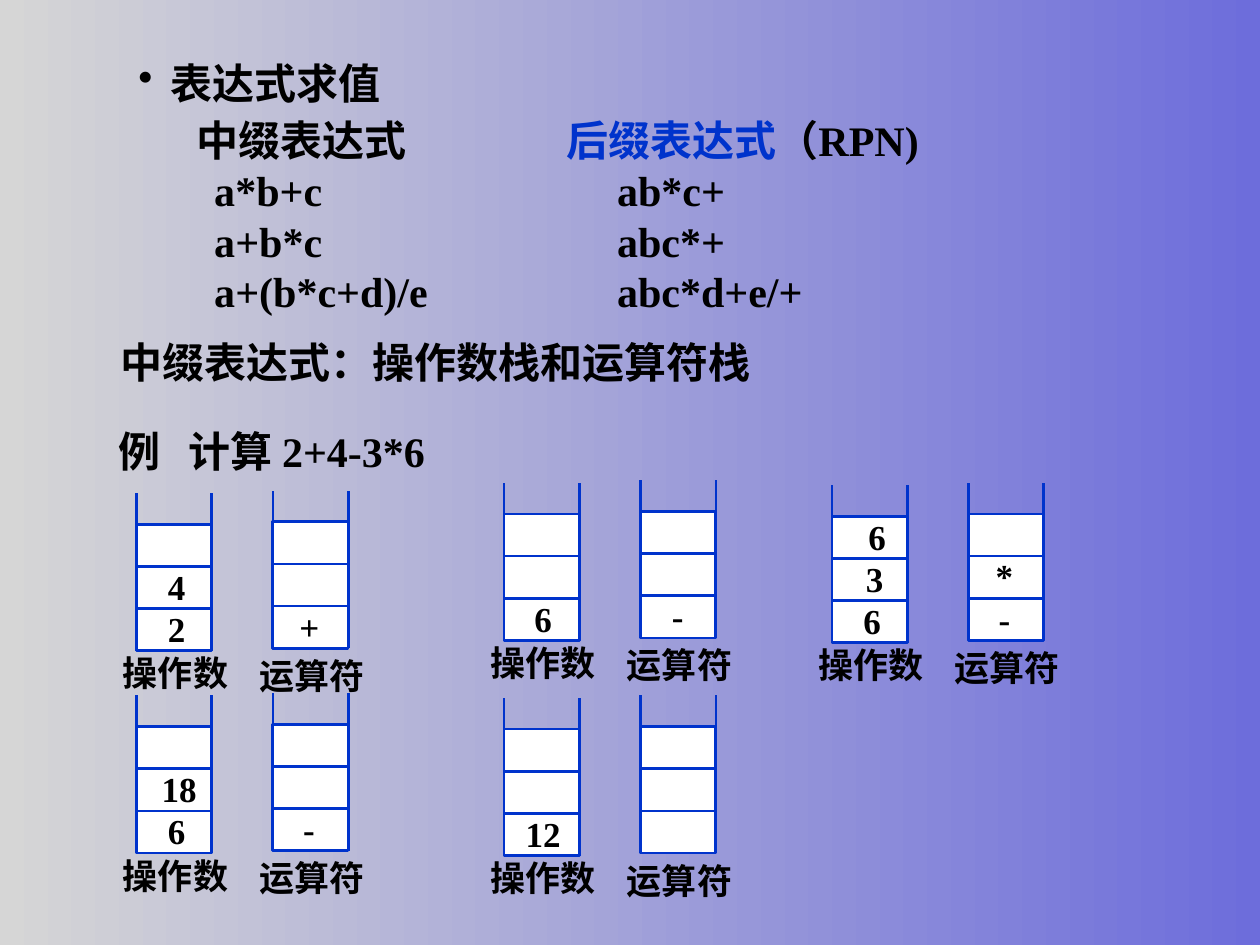
"""Build a slide on evaluating expressions with operand and operator stacks."""
from dataclasses import dataclass
from typing import NamedTuple

from lxml import etree
from pptx import Presentation
from pptx import util as u
from pptx.dml.color import RGBColor
from pptx.enum import shapes, text
from pptx.oxml.ns import qn


@dataclass(frozen=True)
class Theme:
    font: str = "Times New Roman"
    ink: str = "000000"
    blue: str = "0033CC"
    cell: str = "FFFFFF"
    bg_from: str = "6D6DDB"
    bg_to: str = "D6D6D6"
    body: int = 24
    small: int = 20
    line: float = 1.5


class Box(NamedTuple):
    left: float
    top: float
    width: float
    height: float


class Span(NamedTuple):
    text: str
    color: str = Theme.ink


class Line(NamedTuple):
    spans: tuple[Span, ...]
    tabs: tuple[float, ...] = ()


class Entry(NamedTuple):
    text: str
    left: float


class Step(NamedTuple):
    left: float
    bottom: float
    operands: tuple[Entry, ...]
    operators: tuple[Entry, ...] = ()


T = Theme()
CELL_W, CELL_H, CELLS, WALL_H = 1.52, 0.85, 3, 3.18
STACK_GAP, STACK_RISE = 2.75, 0.05
NARROW, WIDE = {"-": 0.74}, {"+": 0.91}
HEAD_TABS, ROW_TABS = (2.15, 9.6), (2.5, 10.62)

EXPRESSIONS = (
    Line((Span("\t中缀表达式\t"), Span("后缀表达式", T.blue), Span("（RPN)")), HEAD_TABS),
    *(Line((Span(f"\t{infix}\t{postfix}"),), ROW_TABS) for infix, postfix in (
        ("a*b+c", "ab*c+"), ("a+b*c", "abc*+"), ("a+(b*c+d)/e", "abc*d+e/+"))),
)

STEPS = (
    Step(2.75, 13.12, (Entry("2", 0.38), Entry("4", 0.38)), (Entry("+", 0.28),)),
    Step(10.16, 12.91, (Entry("6", 0.36),), (Entry("-", 0.38),)),
    Step(16.77, 12.96, (Entry("6", 0.38), Entry("3", 0.43), Entry("6", 0.48)),
         (Entry("-", 0.36), Entry("*", 0.3))),
    Step(2.75, 17.2, (Entry("6", 0.38), Entry("18", 0.25)), (Entry("-", 0.36),)),
    Step(10.16, 17.25, (Entry("12", 0.18),)),
)


def rgb(color: str) -> RGBColor:
    return RGBColor.from_string(color)


def plain(content: str) -> tuple[Line, ...]:
    return (Line((Span(content),)),)


def add_text(parent, box: Box, lines: tuple[Line, ...], *, size: int = T.body,
             center: bool = False, wrap: bool = False, bullet: bool = False) -> None:
    sp = parent.add_textbox(*map(u.Cm, box))
    tf = sp.text_frame
    tf.word_wrap = wrap
    if not bullet:
        tf.auto_size = text.MSO_AUTO_SIZE.SHAPE_TO_FIT_TEXT
        tf.vertical_anchor = text.MSO_ANCHOR.MIDDLE
    for i, line in enumerate(lines):
        p = tf.add_paragraph() if i else tf.paragraphs[0]
        p.alignment = text.PP_ALIGN.CENTER if center else text.PP_ALIGN.LEFT
        pPr = p._p.get_or_add_pPr()
        if bullet:
            p.level = 2
            pPr.set("marL", str(u.Cm(3.18)))
            pPr.set("indent", str(u.Cm(-0.64)))
            clr = etree.SubElement(pPr, qn("a:buClr"))
            etree.SubElement(clr, qn("a:srgbClr"), val=T.ink)
            etree.SubElement(pPr, qn("a:buChar"), char="•")
        if line.tabs:
            tab_list = etree.SubElement(pPr, qn("a:tabLst"))
            for pos in line.tabs:
                etree.SubElement(tab_list, qn("a:tab"), pos=str(u.Cm(pos)), algn="l")
        for span in line.spans:
            r = p.add_run()
            r.text = span.text
            r.font.name, r.font.size, r.font.bold = T.font, u.Pt(size), True
            r.font.color.rgb = rgb(span.color)


def add_wall(parent, x: float, bottom: float) -> None:
    ln = parent.add_connector(shapes.MSO_CONNECTOR.STRAIGHT, u.Cm(x), u.Cm(bottom),
                              u.Cm(x), u.Cm(bottom - WALL_H))
    ln.line.color.rgb = rgb(T.blue)
    ln.line.width = u.Pt(T.line)
    etree.SubElement(ln._element.spPr, qn("a:effectLst"))


def add_cell(parent, box: Box) -> None:
    sp = parent.add_shape(shapes.MSO_SHAPE.RECTANGLE, *map(u.Cm, box))
    sp.shadow.inherit = False
    sp.fill.solid()
    sp.fill.fore_color.rgb = rgb(T.cell)
    sp.line.color.rgb = rgb(T.blue)
    sp.line.width = u.Pt(T.line)


def add_stack(parent, left: float, bottom: float, label: str, label_top: float,
              entries: tuple[Entry, ...]) -> None:
    for x in (left, left + CELL_W):
        add_wall(parent, x, bottom)
    for i in range(CELLS):
        add_cell(parent, Box(left, bottom - CELL_H * (i + 1), CELL_W, CELL_H))
    add_text(parent, Box(left - 0.52, label_top, 2.62, 1.12), plain(label),
             size=T.small, center=True)
    for i, entry in enumerate(entries):
        width = (NARROW | WIDE).get(entry.text, 0.5 + 0.36 * len(entry.text))
        box = Box(left + entry.left, bottom - 1.01 - CELL_H * i, width, 1.12)
        add_text(parent, box, plain(entry.text), size=T.small, center=True)


def add_step(s, step: Step) -> None:
    parent = s.shapes.add_group_shape().shapes
    add_stack(parent, step.left, step.bottom, "操作数", step.bottom - 0.12, step.operands)
    add_stack(parent, step.left + STACK_GAP, step.bottom - STACK_RISE, "运算符",
              step.bottom - 0.07, step.operators)


def main() -> None:
    prs = Presentation()
    prs.slide_width, prs.slide_height = u.Cm(25.4), u.Cm(19.05)
    s = prs.slides.add_slide(prs.slide_layouts[6])
    fill = s.background.fill
    fill.gradient()
    fill.gradient_angle = 180
    for stop, color in zip(fill.gradient_stops, (T.bg_from, T.bg_to)):
        stop.color.rgb = rgb(color)
    add_text(s.shapes, Box(0, 1.04, 24.71, 1.52), plain("表达式求值"), wrap=True, bullet=True)
    add_text(s.shapes, Box(1.57, 2.18, 17.8, 4.32), EXPRESSIONS, wrap=True)
    add_text(s.shapes, Box(2.18, 6.65, 13.21, 1.27), plain("中缀表达式：操作数栈和运算符栈"),
             center=True)
    add_text(s.shapes, Box(2.13, 8.46, 7.1, 1.27),
             (Line((Span("例\t计算 2+4-3*6"),), (1.42,)),), wrap=True)
    for step in STEPS:
        add_step(s, step)
    prs.save("out.pptx")


if __name__ == "__main__":
    main()
